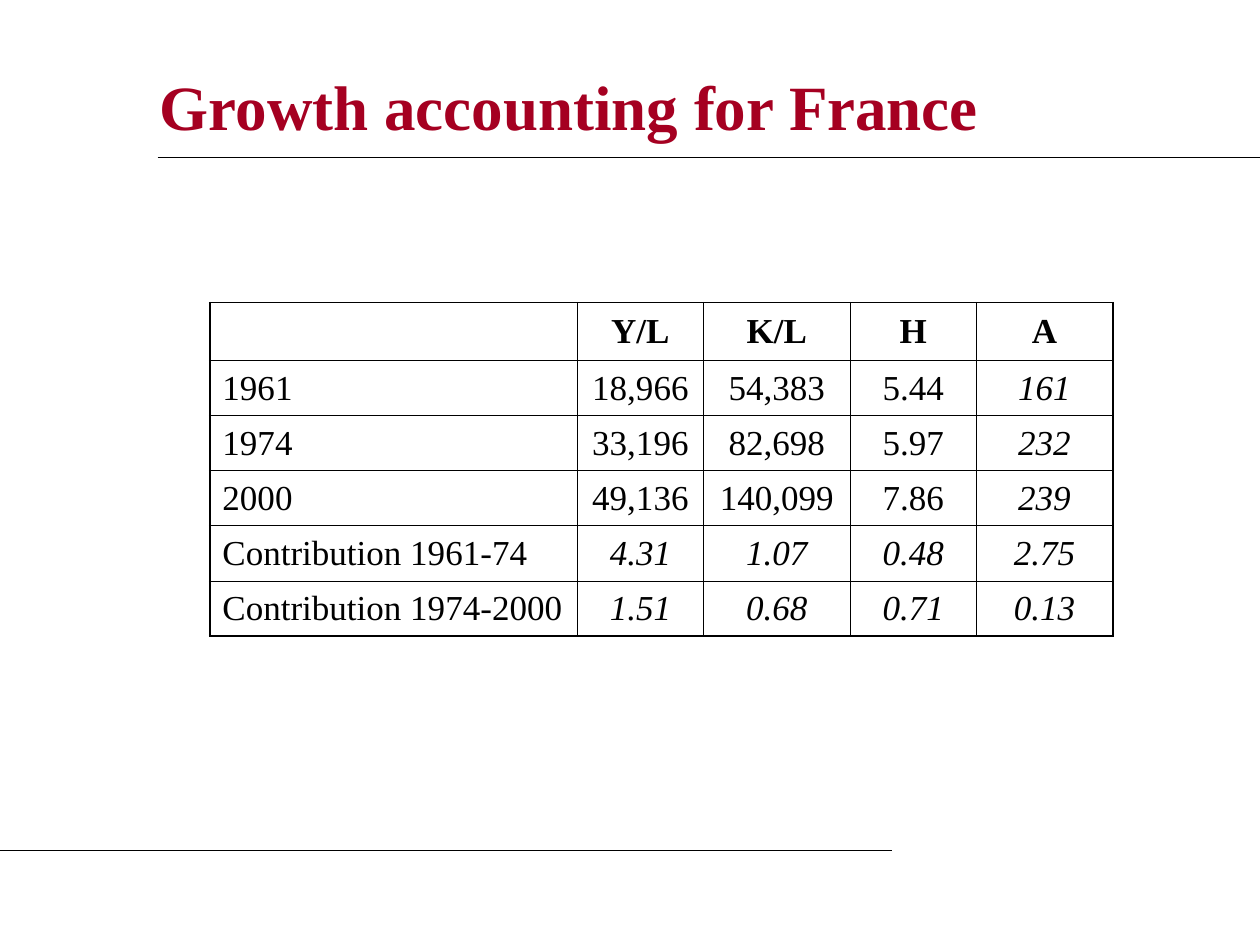
import pptx
import pptx.util
import pptx.dml.color
import pptx.enum.shapes
import pptx.enum.text
import pptx.oxml.ns
import lxml.etree

Cm, Pt = pptx.util.Cm, pptx.util.Pt
ALIGN = pptx.enum.text.PP_ALIGN
MIDDLE = pptx.enum.text.MSO_ANCHOR.MIDDLE
qn = pptx.oxml.ns.qn

# Content
TITLE = "Growth accounting for France"
ROWS = [
    ("", "Y/L", "K/L", "H", "A"),
    ("1961", "18,966", "54,383", "5.44", "161"),
    ("1974", "33,196", "82,698", "5.97", "232"),
    ("2000", "49,136", "140,099", "7.86", "239"),
    ("Contribution 1961-74", "4.31", "1.07", "0.48", "2.75"),
    ("Contribution 1974-2000", "1.51", "0.68", "0.71", "0.13"),
]
FIRST_CONTRIBUTION = 4

# Format
COLORS = {"title": "A50021", "ink": "000000"}
FONT = "Times New Roman"
COL_WIDTHS = [7.41, 2.54, 2.96, 2.54, 2.75]
HEADER_HEIGHT, ROW_HEIGHT = 1.17, 1.11
THIN, THICK = 0.45, 1.08
RULES = [(3.18, 25.4, 3.18), (0, 17.99, 17.15)]  # from x, to x, y


def rgb(name):
    return pptx.dml.color.RGBColor.from_string(COLORS[name])


def write(tf, text, color, align, **formats):
    p = tf.paragraphs[0]
    p.alignment = align
    r = p.add_run()
    r.text = text
    r.font.color.rgb = rgb(color)
    for name, value in {"name": FONT, **formats}.items():
        setattr(r.font, name, value)


def add_border(cell, side, width):
    ln = lxml.etree.SubElement(cell._tc.get_or_add_tcPr(), qn(f"a:ln{side}"), w=str(Pt(width)))
    fill = lxml.etree.SubElement(ln, qn("a:solidFill"))
    lxml.etree.SubElement(fill, qn("a:srgbClr"), val=COLORS["ink"])


prs = pptx.Presentation()
prs.slide_width, prs.slide_height = Cm(25.4), Cm(19.05)
s = prs.slides.add_slide(prs.slide_layouts[5])

# Title
title = s.shapes.title
title.left, title.top, title.width, title.height = Cm(2.97), Cm(0.64), Cm(21.59), Cm(2.97)
title.text_frame.vertical_anchor = MIDDLE
write(title.text_frame, TITLE, "title", ALIGN.LEFT, size=Pt(36), bold=True)

# Horizontal rules
for x1, x2, y in RULES:
    line = s.shapes.add_connector(pptx.enum.shapes.MSO_CONNECTOR.STRAIGHT,
                                  Cm(x1), Cm(y), Cm(x2), Cm(y))
    line.line.color.rgb = rgb("ink")
    line.line.width = Pt(0.75)
    lxml.etree.SubElement(line._element.spPr, qn("a:effectLst"))

# Table
last_row, last_col = len(ROWS) - 1, len(COL_WIDTHS) - 1
table_height = HEADER_HEIGHT + last_row * ROW_HEIGHT
table = s.shapes.add_table(len(ROWS), len(COL_WIDTHS), Cm(4.23), Cm(6.1),
                           Cm(sum(COL_WIDTHS)), Cm(table_height)).table
table.first_row = table.horz_banding = False
for col, width in zip(table.columns, COL_WIDTHS):
    col.width = Cm(width)
for i, values in enumerate(ROWS):
    table.rows[i].height = Cm(ROW_HEIGHT if i else HEADER_HEIGHT)
    for j, text in enumerate(values):
        cell = table.cell(i, j)
        cell.vertical_anchor = MIDDLE
        outer = {"L": j == 0, "R": j == last_col, "T": i == 0, "B": i == last_row}
        for side, is_outer in outer.items():
            add_border(cell, side, THICK if is_outer else THIN)
        cell.fill.background()
        if text:
            # Computed figures are italic: column A and the contributions
            computed = i > 0 and (j == last_col or (j > 0 and i >= FIRST_CONTRIBUTION))
            write(cell.text_frame, text, "ink", ALIGN.CENTER if j else ALIGN.LEFT,
                  size=Pt(20), bold=i == 0, italic=computed)

prs.save("out.pptx")
